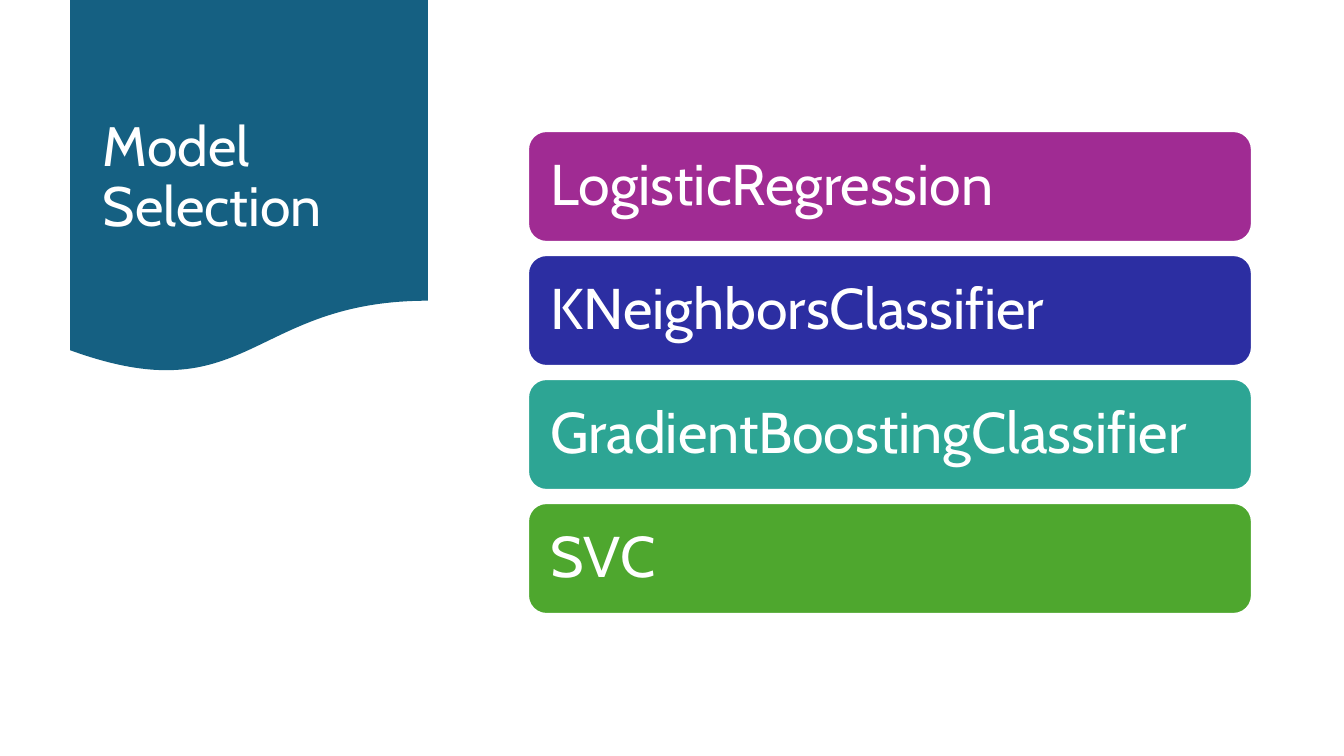
from pptx import Presentation
from pptx import util as u
from pptx.dml.color import RGBColor
from pptx.enum import shapes, text

COLORS = {
    "white": "FFFFFF",
    "banner": "156082",
    "purple": "A02B93",
    "indigo": "2C2EA2",
    "teal": "2DA594",
    "green": "4EA72E",
}
FONT = "Cabin"
SLIDE_W, SLIDE_H = 1344, 756
MODELS = [
    ("LogisticRegression", "purple"),
    ("KNeighborsClassifier", "indigo"),
    ("GradientBoostingClassifier", "teal"),
    ("SVC", "green"),
]


def px(n):
    return u.Emu(round(n * 12192000 / SLIDE_W))


def rgb(name):
    return RGBColor.from_string(COLORS[name])


def add_block(s, kind, box, fill):
    sp = s.shapes.add_shape(kind, *map(px, box))
    sp.shadow.inherit = False
    sp.fill.solid()
    sp.fill.fore_color.rgb = rgb(fill)
    sp.line.fill.background()
    return sp


def set_text(sp, words, size, margins):
    tf = sp.text_frame
    tf.text = words
    tf.word_wrap = True
    tf.auto_size = text.MSO_AUTO_SIZE.NONE
    tf.vertical_anchor = text.MSO_ANCHOR.MIDDLE
    tf.margin_left, tf.margin_top, tf.margin_right, tf.margin_bottom = map(px, margins)
    p = tf.paragraphs[0]
    p.alignment = text.PP_ALIGN.LEFT
    p.line_spacing = 0.9
    for r in p.runs:
        r.font.name = FONT
        r.font.size = u.Pt(size)
        r.font.color.rgb = rgb("white")


def add_banner(s, x, y, w, h):
    # Wavy panel, placed behind the title
    panel = add_block(s, shapes.MSO_SHAPE.FLOWCHART_DOCUMENT, (x, y, w, h), "banner")
    title = s.shapes.title
    title._element.addprevious(panel._element)

    # Title
    title.left, title.top = px(x + 23), px(y + 19)
    title.width, title.height = px(w - 23), px(297)
    set_text(title, "Model\vSelection", 39.6, (10, 22, 10, 0))


def add_model_list(s, x, y, w, h, gap=13):
    # Equal bars, one for each model
    bar_h = (h - gap * (len(MODELS) - 1)) / len(MODELS)
    for i, (model, color) in enumerate(MODELS):
        box = (x, y + i * (bar_h + gap), w, bar_h)
        bar = add_block(s, shapes.MSO_SHAPE.ROUNDED_RECTANGLE, box, color)
        bar.line.color.rgb = rgb("white")
        bar.line.width = u.Pt(1.5)
        set_text(bar, model, 41, (17, 17, 17, 17))


def main():
    prs = Presentation()
    prs.slide_width, prs.slide_height = px(SLIDE_W), px(SLIDE_H)
    s = prs.slides.add_slide(prs.slide_layouts[5])
    add_banner(s, 70, 0, 358, 375)
    add_model_list(s, 528, 131, 724, 483)
    prs.save("out.pptx")


if __name__ == "__main__":
    main()
